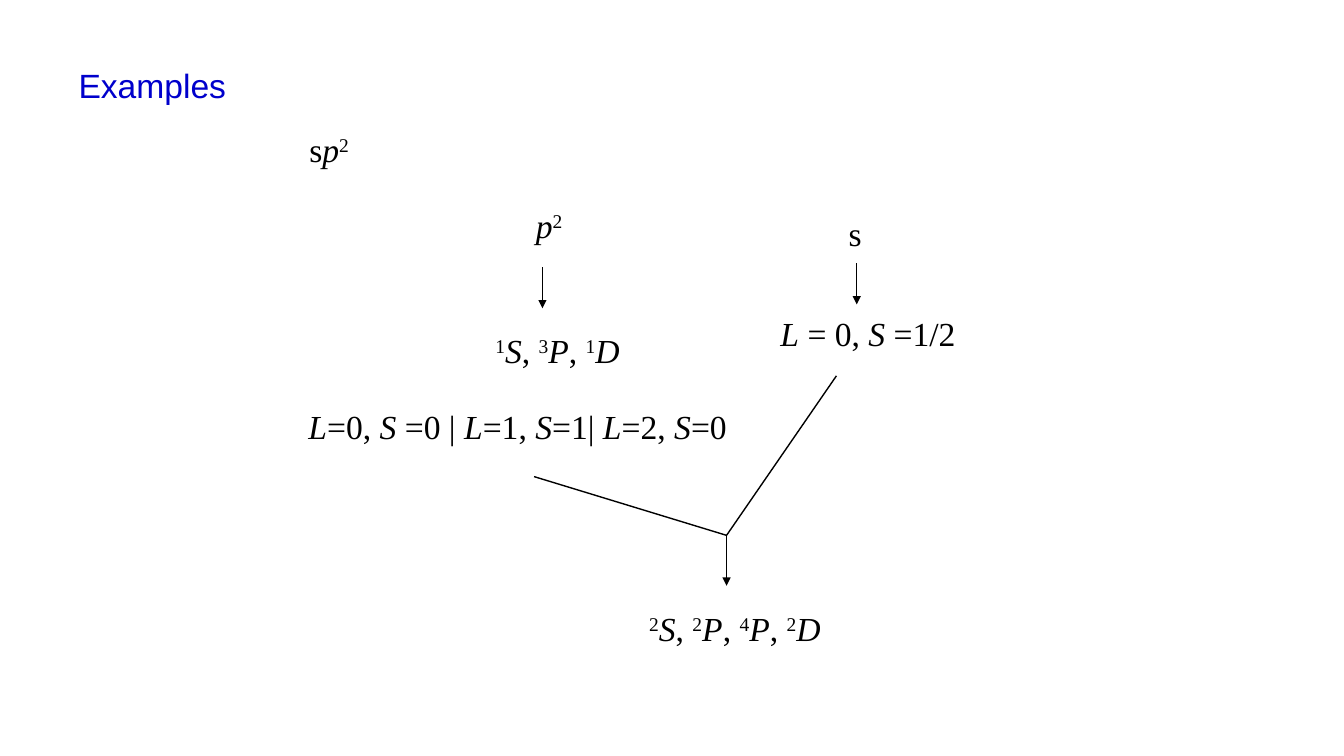
"""Build the slide deriving the terms of the sp² configuration."""
from itertools import groupby

from lxml import etree
from pptx import Presentation
from pptx.dml.color import RGBColor
from pptx.enum import shapes, text
from pptx.oxml import ns
from pptx.util import Cm, Pt

COLORS = {"ink": "000000", "title": "0000CC"}
TITLE = ("Examples", 1.73, 1.52, 4.27)
FORMULAS = [
    ("sp²", 7.52, 3.12, 1.55),
    ("p²", 13.23, 5.03, 1.22),
    ("s", 21.13, 5.23, 0.84),
    ("L = 0, S =1/2", 19.41, 7.77, 4.93),
    ("¹S, ³P, ¹D", 12.17, 8.2, 3.76),
    ("L=0, S =0 | L=1, S=1| L=2, S=0", 7.52, 10.11, 11.05),
    ("²S, ²P, ⁴P, ²D", 16.03, 15.19, 4.98),
]
JOIN = (18.31, 13.49)
LINES = [
    ((13.67, 6.73), (13.67, 7.77), True),
    ((21.59, 6.63), (21.59, 7.67), True),
    ((13.46, 12.01), JOIN, False),
    (JOIN, (21.08, 9.47), False),
    (JOIN, (18.31, 14.76), True),
]
ITALIC = "LSPDp"
SUPERSCRIPTS = {"¹": "1", "²": "2", "³": "3", "⁴": "4"}
BOX_HEIGHT = 1.27


def char_style(char):
    """Return whether a character is italic and whether it is raised."""
    return char in ITALIC, char in SUPERSCRIPTS


def add_box(slide, left, top, width, font, color, align):
    """Add an unwrapped text box and return its paragraph."""
    sp = slide.shapes.add_textbox(Cm(left), Cm(top), Cm(width), Cm(BOX_HEIGHT))
    tf = sp.text_frame
    tf.word_wrap = False
    tf.auto_size = text.MSO_AUTO_SIZE.SHAPE_TO_FIT_TEXT
    p = tf.paragraphs[0]
    p.alignment = align
    p.font.name = font
    p.font.size = Pt(24)
    p.font.color.rgb = RGBColor.from_string(COLORS[color])
    return p


def add_formula(slide, formula, left, top, width):
    """Add a formula with italic symbols and raised numbers."""
    p = add_box(slide, left, top, width, "Times New Roman", "ink", text.PP_ALIGN.CENTER)
    for (italic, raised), chars in groupby(formula, char_style):
        r = p.add_run()
        r.text = "".join(SUPERSCRIPTS.get(c, c) for c in chars)
        if italic:
            r.font.italic = True
        if raised:
            r._r.get_or_add_rPr().set("baseline", "30000")


def add_line(slide, start, end, arrow):
    """Add a straight line, with an arrowhead at its end if asked."""
    points = [Cm(v) for v in start + end]
    cxn = slide.shapes.add_connector(shapes.MSO_CONNECTOR.STRAIGHT, *points)
    cxn.line.width = Pt(1)
    cxn.line.color.rgb = RGBColor.from_string(COLORS["ink"])
    if arrow:
        etree.SubElement(cxn.line._get_or_add_ln(), ns.qn("a:tailEnd"), type="triangle")
    etree.SubElement(cxn._element.spPr, ns.qn("a:effectLst"))


def main():
    """Build and save the slide."""
    prs = Presentation()
    prs.slide_width, prs.slide_height = Cm(33.87), Cm(19.05)
    slide = prs.slides.add_slide(prs.slide_layouts[6])
    title, *place = TITLE
    p = add_box(slide, *place, "Arial", "title", text.PP_ALIGN.LEFT)
    p.add_run().text = title
    for formula in FORMULAS:
        add_formula(slide, *formula)
    for line in LINES:
        add_line(slide, *line)
    prs.save("out.pptx")


if __name__ == "__main__":
    main()
